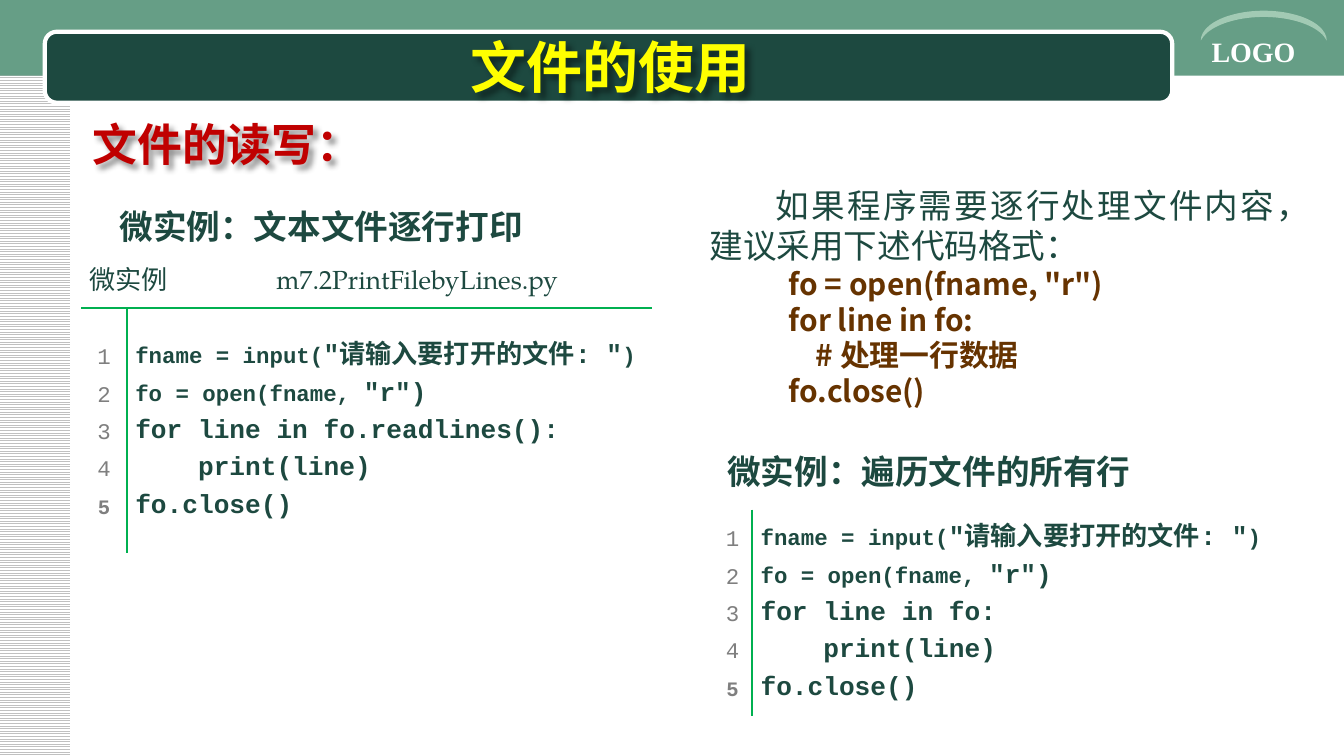
import pptx
import pptx.dml.color
import pptx.enum.dml
import pptx.enum.shapes
import pptx.enum.text
import pptx.oxml
import pptx.oxml.ns
import pptx.util

Pt = pptx.util.Pt
RGB = pptx.dml.color.RGBColor
Shape = pptx.enum.shapes.MSO_SHAPE
Align = pptx.enum.text.PP_ALIGN
Anchor = pptx.enum.text.MSO_ANCHOR
qn = pptx.oxml.ns.qn

WHITE = RGB(0xFF, 0xFF, 0xFF)
SILVER = RGB(0xC0, 0xC0, 0xC0)
GREY = RGB(0x7F, 0x7F, 0x7F)
SAGE = RGB(0x66, 0x9E, 0x86)
MINT = RGB(0xA2, 0xCA, 0xB4)
PINE = RGB(0x1D, 0x49, 0x40)
LEAF = RGB(0x00, 0xB0, 0x50)
YELLOW = RGB(0xFF, 0xFF, 0x00)
RED = RGB(0xC0, 0x00, 0x00)
BROWN = RGB(0x66, 0x33, 0x00)

SANS = "Noto Sans CJK SC"
MONO = "Courier New"
SERIF = "TeX Gyre Pagella"
NS = 'xmlns:a="http://schemas.openxmlformats.org/drawingml/2006/main"'
PLAIN = "{2D5ABB26-0587-4C30-8999-92F81FD0307C}"
LEAD = 1.2

TITLE = dict(name=SANS, size=30, bold=True, color=YELLOW)
HEAD = dict(name=SANS, size=24, bold=True, color=RED)
SUB = dict(name=SANS, size=18, bold=True, color=PINE)
BODY = dict(name=SANS, size=18, bold=False, color=PINE)
SAMPLE = dict(name=SANS, size=16, bold=True, color=BROWN)
LOGO = dict(name="Times New Roman", size=15, bold=True, color=WHITE)
LABEL = dict(name=SERIF, size=14, bold=False, color=PINE)
CODE = dict(name=MONO, size=14, bold=True, color=PINE)
SMALL = dict(CODE, size=12)
NUM = dict(name=MONO, size=12, bold=False, color=GREY)
LAST = dict(NUM, size=11, bold=True)

HINT = "如果程序需要逐行处理文件内容，建议采用下述代码格式："
STEPS = ['fo = open(fname, "r")', "for line in fo:", "    # 处理一行数据", "fo.close()"]
# text, box, format, first-line indent
NOTES = [
    ("文件的读写：", (42.5, 59, 209.5, 36), HEAD, 0),
    ("微实例：文本文件逐行打印", (36, 107, 296, 29), SUB, 21),
    ("微实例：遍历文件的所有行", (382.5, 238, 314, 29), SUB, 0),
]
HEADER = ["微实例", "m7.2PrintFilebyLines.py"]
LOOPS = ["for line in fo.readlines():", "for line in fo:"]


def listing(loop):
    return [
        [("fname = input(", SMALL), ('"请输入要打开的文件: "', CODE), (")", SMALL)],
        [("fo = open(fname, ", SMALL), ('"r")', CODE)],
        [(loop, CODE)],
        [("    print(line)", CODE)],
        [("fo.close()", CODE)],
    ]


NUMS = [[(str(n), LAST if n == 5 else NUM)] for n in range(1, 6)]


def write(frame, lines, align=Align.LEFT, lead=None):
    """Fill a frame with paragraphs, each a list of (text, format) runs."""
    for i, line in enumerate(lines):
        para = frame.add_paragraph() if i else frame.paragraphs[0]
        para.alignment = align
        if lead:
            para.line_spacing = Pt(lead)
        for text, style in line:
            run = para.add_run()
            run.text = text
            for key, val in style.items():
                if key == "color":
                    run.font.color.rgb = val
                else:
                    setattr(run.font, key, Pt(val) if key == "size" else val)
            latin = run.font._element.find(qn("a:latin"))
            latin.addnext(pptx.oxml.parse_xml(f'<a:ea {NS} typeface="{SANS}"/>'))


def shade(form):
    """Give an unfilled text shape a soft shadow, which falls from its letters."""
    form.fill.background()
    form._element.spPr.append(pptx.oxml.parse_xml(
        f'<a:effectLst {NS}><a:outerShdw blurRad="38100" dist="38100" dir="2700000">'
        '<a:srgbClr val="000000"><a:alpha val="43000"/></a:srgbClr>'
        '</a:outerShdw></a:effectLst>'))


def indent(para, first):
    props = para._p.get_or_add_pPr()
    props.set("marL", "0")
    props.set("indent", str(int(Pt(first))))


def add_box(box):
    form = slide.shapes.add_textbox(*map(Pt, box))
    form.text_frame.word_wrap = True
    return form


def add_form(kind, box, color=None, adj=None):
    form = slide.shapes.add_shape(kind, *map(Pt, box))
    form.shadow.inherit = False
    form.line.fill.background()
    if color is not None:
        form.fill.solid()
        form.fill.fore_color.rgb = color
    if adj:
        form.adjustments[0] = adj
    return form


def edge(cell, sides):
    """Draw green lines on the sides named, and none on the others."""
    props = cell._tc.get_or_add_tcPr()
    green = f'<a:solidFill><a:srgbClr val="{LEAF}"/></a:solidFill>'
    for i, side in enumerate("LRTB"):
        paint = green if side in sides else "<a:noFill/>"
        props.insert(i, pptx.oxml.parse_xml(
            f'<a:ln{side} {NS} w="12700">{paint}</a:ln{side}>'))


def add_grid(left, top, cols, rows, head):
    """Add a plain white table; lines run below the header and right of column 0."""
    grid = slide.shapes.add_table(len(rows), len(cols), Pt(left), Pt(top),
                                  Pt(sum(cols)), Pt(sum(rows))).table
    grid.first_row = grid.horz_banding = False
    grid._tbl.tblPr.find(qn("a:tableStyleId")).text = PLAIN
    for col, size in zip(grid.columns, cols):
        col.width = Pt(size)
    for r, size in enumerate(rows):
        grid.rows[r].height = Pt(size)
        for c in range(len(cols)):
            cell = grid.cell(r, c)
            cell.fill.solid()
            cell.fill.fore_color.rgb = WHITE
            cell.margin_left = cell.margin_right = Pt(4.5)
            cell.margin_top = cell.margin_bottom = 0
            # a tiny end mark lets empty rows stay thin
            para = cell.text_frame.paragraphs[0]
            para._p.get_or_add_endParaRPr().set("sz", "100")
            if head and r == 0:
                edge(cell, "B")
            else:
                side = {0: "R", 1: "L"}.get(c, "")
                edge(cell, side + ("T" if head and r == 1 else ""))
    return grid


def fill_code(grid, row, loop):
    for col, lines, align in ((0, NUMS, Align.CENTER), (1, listing(loop), Align.JUSTIFY)):
        cell = grid.cell(row, col)
        cell.vertical_anchor = Anchor.MIDDLE
        write(cell.text_frame, lines, align, 20)


deck = pptx.Presentation()
deck.slide_width, deck.slide_height = Pt(720), Pt(405)
slide = deck.slides.add_slide(deck.slide_layouts[5])
slide.background.fill.solid()
slide.background.fill.fore_color.rgb = WHITE

strip = add_form(Shape.RECTANGLE, (-0.7, 0, 38, 405))
strip.fill.patterned()
strip.fill.pattern = pptx.enum.dml.MSO_PATTERN.LIGHT_HORIZONTAL
strip.fill.fore_color.rgb = SILVER
strip.fill.back_color.rgb = WHITE
add_form(Shape.RECTANGLE, (0, 0, 720.5, 40.5), SAGE)
banner = add_form(Shape.ROUNDED_RECTANGLE, (24, 17, 604, 38), PINE, 0.17)
banner.line.color.rgb = WHITE
banner.line.width = Pt(2.25)
write(add_box((642, 15, 78, 25)).text_frame, [[("LOGO", LOGO)]])
add_form(Shape.MOON, (669, -20, 16, 67.5), MINT, 0.21).rotation = 90

title = slide.shapes.title
title.left, title.top, title.width, title.height = map(Pt, (36, 19, 582, 33))
frame = title.text_frame
frame.auto_size = pptx.enum.text.MSO_AUTO_SIZE.NONE
frame.vertical_anchor = Anchor.MIDDLE
frame.margin_top = frame.margin_bottom = 0
write(frame, [[("文件的使用", TITLE)]], Align.CENTER)
shade(title)
# bring the title in front of the banner
slide.shapes._spTree.append(title._element)

for text, box, style, first in NOTES:
    form = add_box(box)
    write(form.text_frame, [[(text, style)]], lead=style["size"] * LEAD)
    indent(form.text_frame.paragraphs[0], first)
    if style is HEAD:
        shade(form)

grid = add_grid(43.5, 141, (24.5, 65, 181, 35.5), (24, 4, 109.5, 7), True)
grid.cell(0, 0).merge(grid.cell(0, 1))
for row in range(1, 4):
    grid.cell(row, 1).merge(grid.cell(row, 3))
for col, text, align in zip((0, 2), HEADER, (Align.LEFT, Align.CENTER)):
    write(grid.cell(0, col).text_frame, [[(text, LABEL)]], align, 18)
fill_code(grid, 2, LOOPS[0])
fill_code(add_grid(382, 273, (21, 293), (3.5, 93, 7), False), 1, LOOPS[1])

frame = add_box((373, 95.5, 336, 128)).text_frame
write(frame, [[(HINT, BODY)]] + [[(step, SAMPLE)] for step in STEPS], Align.JUSTIFY)
for i, para in enumerate(frame.paragraphs):
    indent(para, 42.5 if i else 35.5)
    para.line_spacing = Pt((SAMPLE if i else BODY)["size"] * LEAD)

deck.save("out.pptx")
